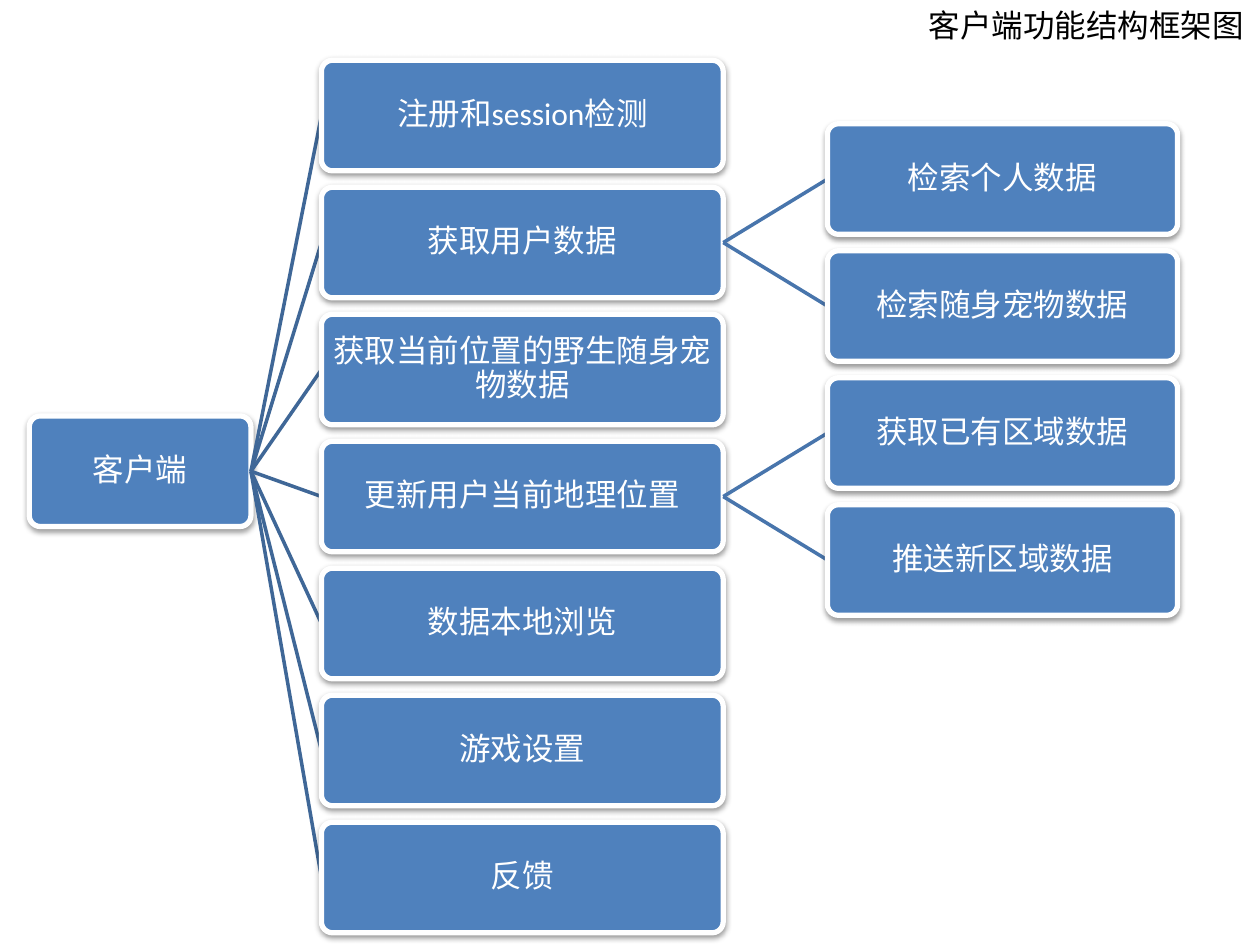
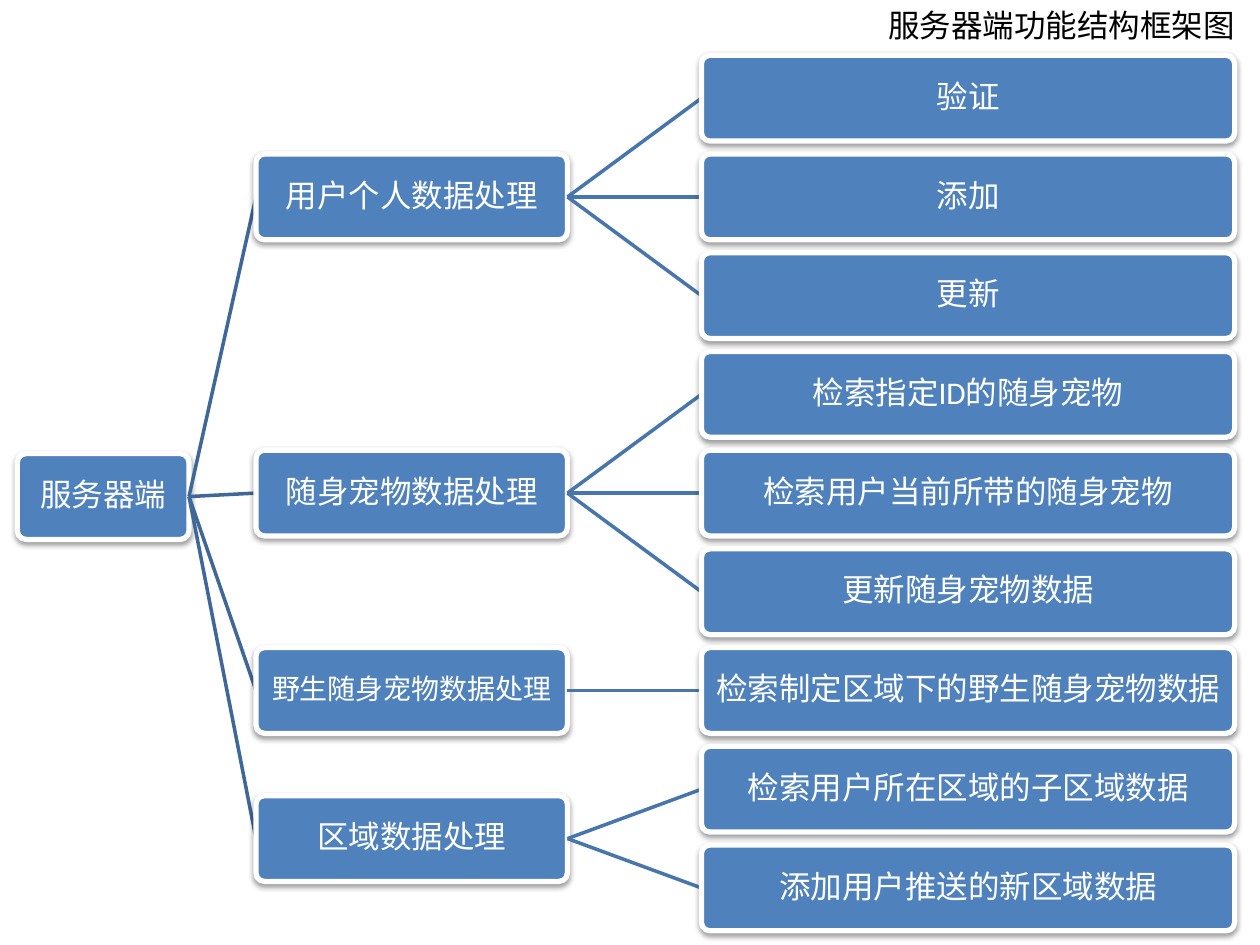
"""Build two tree diagrams of client and server functions."""
from lxml.etree import SubElement
from pptx import Presentation
from pptx.dml.color import RGBColor
from pptx.enum.shapes import MSO_CONNECTOR as LINE, MSO_SHAPE as SHAPE
from pptx.enum.text import MSO_ANCHOR as ANCHOR, MSO_AUTO_SIZE as FIT, PP_ALIGN as ALIGN
from pptx.oxml.ns import qn
from pptx.util import Cm, Pt

FONT = "Calibri"
BLACK, WHITE, BLUE = "000000", "FFFFFF", "4F81BD"
ROOT_LINE, BRANCH_LINE = "3F6797", "4875AC"
TITLE_HEIGHT = 1.02

TREES = [
    {
        "title": ("客户端功能结构框架图", 18.47, 6.93),
        "columns": [(0.59, 4.47), (6.48, 8.1), (16.68, 7.06)],
        "first": 2.33, "pitch": 2.56, "height": 2.23,
        "root": ("客户端", 9.5),
        "branches": [
            (0, "注册和session检测", 18, []),
            (1, "获取用户数据", 18, ["检索个人数据", "检索随身宠物数据"]),
            (2, "获取当前位置的野生随身宠物数据", 18, []),
            (3, "更新用户当前地理位置", 18, ["获取已有区域数据", "推送新区域数据"]),
            (4, "数据本地浏览", 18, []),
            (5, "游戏设置", 18, []),
            (6, "反馈", 18, []),
        ],
    },
    {
        "title": ("服务器端功能结构框架图", 17.65, 7.75),
        "columns": [(0.35, 3.46), (5.16, 6.28), (14.14, 10.75)],
        "first": 1.98, "pitch": 1.99, "height": 1.73,
        "root": ("服务器端", 10.01),
        "branches": [
            (1, "用户个人数据处理", 18, ["验证", "添加", "更新"]),
            (4, "随身宠物数据处理", 18,
             ["检索指定ID的随身宠物", "检索用户当前所带的随身宠物", "更新随身宠物数据"]),
            (6, "野生随身宠物数据处理", 16, ["检索制定区域下的野生随身宠物数据"]),
            (7.5, "区域数据处理", 18,
             ["检索用户所在区域的子区域数据", "添加用户推送的新区域数据"]),
        ],
    },
]


def color(value):
    return RGBColor.from_string(value)


def set_text(shape, text, size, ink, align):
    shape.text_frame.text = text
    para = shape.text_frame.paragraphs[0]
    para.alignment = align
    para.font.name, para.font.size = FONT, Pt(size)
    para.font.color.rgb = color(ink)
    return para


def add_title(page, text, left, width):
    title = page.shapes.title
    title.left, title.top = Cm(left), Cm(0)
    title.width, title.height = Cm(width), Cm(TITLE_HEIGHT)
    set_text(title, text, 18, BLACK, ALIGN.LEFT)
    frame = title.text_frame
    frame.word_wrap, frame.auto_size = False, FIT.SHAPE_TO_FIT_TEXT
    frame.vertical_anchor = ANCHOR.TOP


def add_shadow(shape):
    shape.shadow.inherit = False
    effects = shape._element.spPr.find(qn("a:effectLst"))
    shadow = SubElement(effects, qn("a:outerShdw"), blurRad="40000", dist="20000",
                        dir="5400000", rotWithShape="0")
    ink = SubElement(shadow, qn("a:srgbClr"), val=BLACK)
    SubElement(ink, qn("a:alpha"), val="38000")


def add_box(page, column, middle, height, text, size=18):
    left, width = column
    box = page.shapes.add_shape(SHAPE.ROUNDED_RECTANGLE, Cm(left), Cm(middle - height / 2),
                                Cm(width), Cm(height))
    box.adjustments[0] = 0.1
    box.fill.solid()
    box.fill.fore_color.rgb = color(BLUE)
    box.line.color.rgb, box.line.width = color(WHITE), Pt(3)
    add_shadow(box)
    frame = box.text_frame
    frame.word_wrap, frame.vertical_anchor = True, ANCHOR.MIDDLE
    frame.margin_left = frame.margin_right = frame.margin_top = frame.margin_bottom = Cm(0.03)
    set_text(box, text, size, WHITE, ALIGN.CENTER).line_spacing = 0.9


def add_link(page, source, start, target, end, ink):
    link = page.shapes.add_connector(LINE.STRAIGHT, Cm(sum(source)), Cm(start),
                                     Cm(target[0]), Cm(end))
    link.line.color.rgb, link.line.width = color(ink), Pt(2)
    SubElement(link._element.spPr, qn("a:effectLst"))


def add_tree(page, tree):
    root_column, branch_column, leaf_column = tree["columns"]
    pitch, height = tree["pitch"], tree["height"]
    root_text, root_middle = tree["root"]
    add_title(page, *tree["title"])
    add_box(page, root_column, root_middle, height, root_text)
    for row, text, size, leaves in tree["branches"]:
        middle = tree["first"] + row * pitch
        add_link(page, root_column, root_middle, branch_column, middle, ROOT_LINE)
        add_box(page, branch_column, middle, height, text, size)
        for index, leaf in enumerate(leaves):
            leaf_middle = middle + (index - (len(leaves) - 1) / 2) * pitch
            add_link(page, branch_column, middle, leaf_column, leaf_middle, BRANCH_LINE)
            add_box(page, leaf_column, leaf_middle, height, leaf)


deck = Presentation()
deck.slide_width, deck.slide_height = Cm(25.4), Cm(19.05)
for tree in TREES:
    add_tree(deck.slides.add_slide(deck.slide_layouts[5]), tree)
deck.save("out.pptx")
